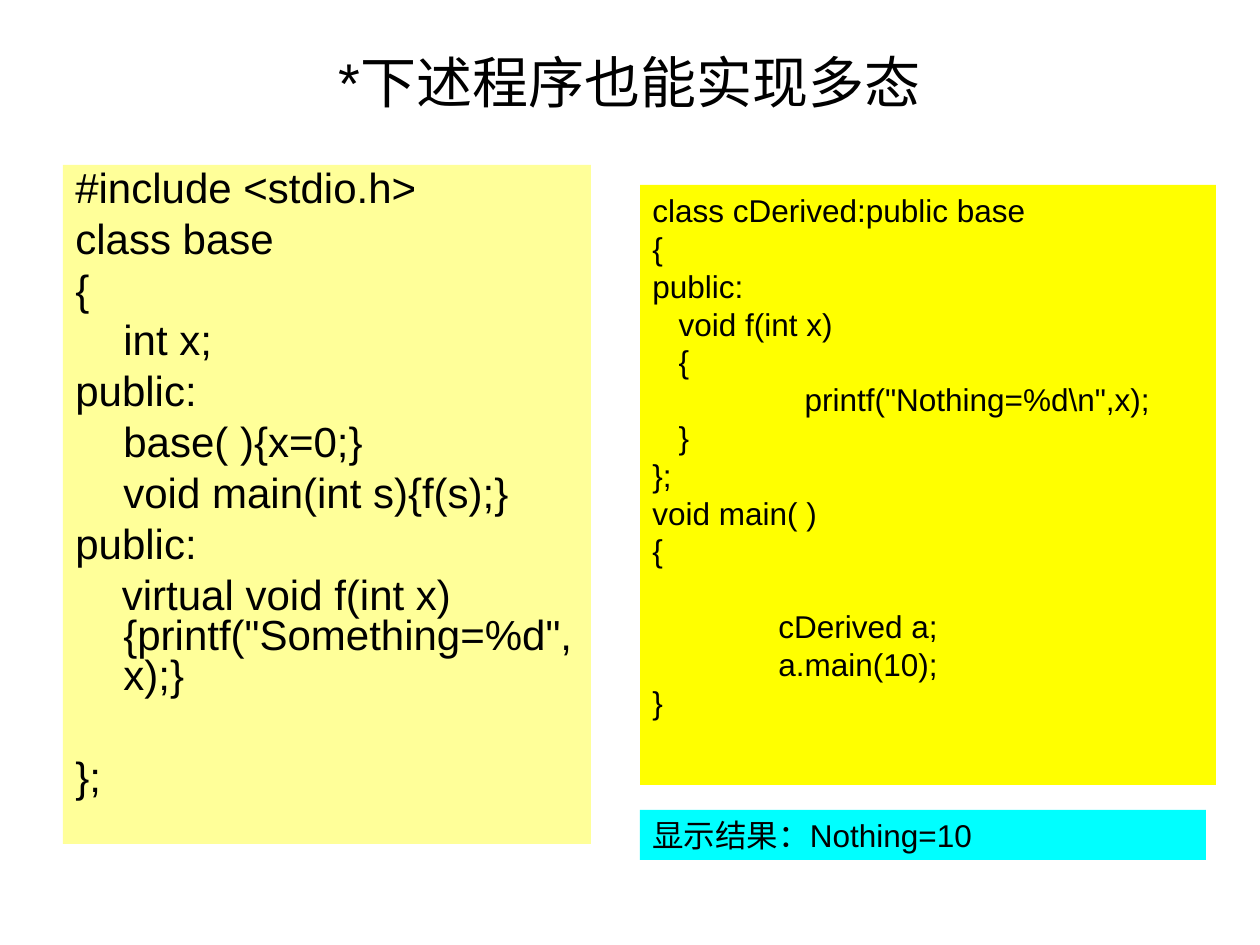
from lxml.etree import SubElement
from pptx import Presentation
from pptx.dml.color import RGBColor
from pptx.enum.shapes import MSO_SHAPE as Shape
from pptx.enum.text import MSO_ANCHOR as Anchor, PP_ALIGN as Align
from pptx.oxml.ns import qn
from pptx.util import Pt

EMU_PER_INCH = 914400
SCALE = EMU_PER_INCH / 126
BLACK = RGBColor(0, 0, 0)
PALE_YELLOW = RGBColor(0xFF, 0xFF, 0x99)
YELLOW = RGBColor(0xFF, 0xFF, 0)
CYAN = RGBColor(0, 0xFF, 0xFF)

BASE_CODE = """#include <stdio.h>
class base
{
\tint x;
public:
\tbase( ){x=0;}
\tvoid main(int s){f(s);}
public:
    virtual void f(int x){printf("Something=%d",x);}
};"""

DERIVED_CODE = """class cDerived:public base
{
public:
   void f(int x)
   {
\t   printf("Nothing=%d\\n",x);
   }
};
void main( )
{
\tcDerived a;
\ta.main(10);
}"""


def px(length):
    return round(length * SCALE)


def set_attributes(target, values):
    for name, value in values.items():
        setattr(target, name, value)


def add_tab_stops(para):
    tab_list = SubElement(para._p.get_or_add_pPr(), qn("a:tabLst"))
    for inch in range(8):
        SubElement(tab_list, qn("a:tab"), pos=str(inch * EMU_PER_INCH), algn="l")


def write_lines(box, lines, size, para_format=None, gap=0, wide_gaps=None, hanging=0):
    box.text_frame.word_wrap = True
    for index, line in enumerate(lines):
        frame = box.text_frame
        para = frame.add_paragraph() if index else frame.paragraphs[0]
        if hanging:
            properties = para._p.get_or_add_pPr()
            properties.set("marL", str(px(hanging)))
            properties.set("indent", str(-px(hanging)))
        add_tab_stops(para)
        set_attributes(para, para_format or {})
        if index:
            para.space_before = Pt((wide_gaps or {}).get(index, gap))
        span = para.add_run()
        span.text = line
        set_attributes(span.font, {"name": "Arial", "size": Pt(size)})
        span.font.color.rgb = BLACK


def add_panel(page, area, fill):
    box = page.shapes.add_shape(Shape.RECTANGLE, *map(px, area))
    box.shadow.inherit = False
    box.fill.solid()
    box.fill.fore_color.rgb = fill
    box.line.fill.background()
    box.text_frame.vertical_anchor = Anchor.TOP
    return box


def add_title(page, area):
    box = page.shapes.add_textbox(*map(px, area))
    box.text_frame.vertical_anchor = Anchor.MIDDLE
    write_lines(box, ["*下述程序也能实现多态"], 32, {"alignment": Align.CENTER})


def add_base_class(page, area):
    box = add_panel(page, area, PALE_YELLOW)
    lines = BASE_CODE.split("\n")
    style = {"alignment": Align.LEFT, "line_spacing": 0.8}
    write_lines(box, lines, 24, style, gap=6,
                wide_gaps={lines.index("};"): 35}, hanging=48)


def add_derived_class(page, area):
    box = add_panel(page, area, YELLOW)
    lines = DERIVED_CODE.split("\n")
    write_lines(box, lines, 18, {"alignment": Align.LEFT},
                wide_gaps={lines.index("\tcDerived a;"): 21.6})


def add_result(page, area):
    box = add_panel(page, area, CYAN)
    write_lines(box, ["显示结果：Nothing=10"], 18, {"alignment": Align.LEFT})


def main():
    deck = Presentation()
    set_attributes(deck, {"slide_width": px(1260), "slide_height": px(945)})
    page = deck.slides.add_slide(deck.slide_layouts[6])
    add_title(page, (63, 38, 1134, 87))
    add_base_class(page, (63, 165, 528, 679))
    add_derived_class(page, (640, 185, 576, 600))
    add_result(page, (640, 810, 566, 50))
    deck.save("out.pptx")


if __name__ == "__main__":
    main()
